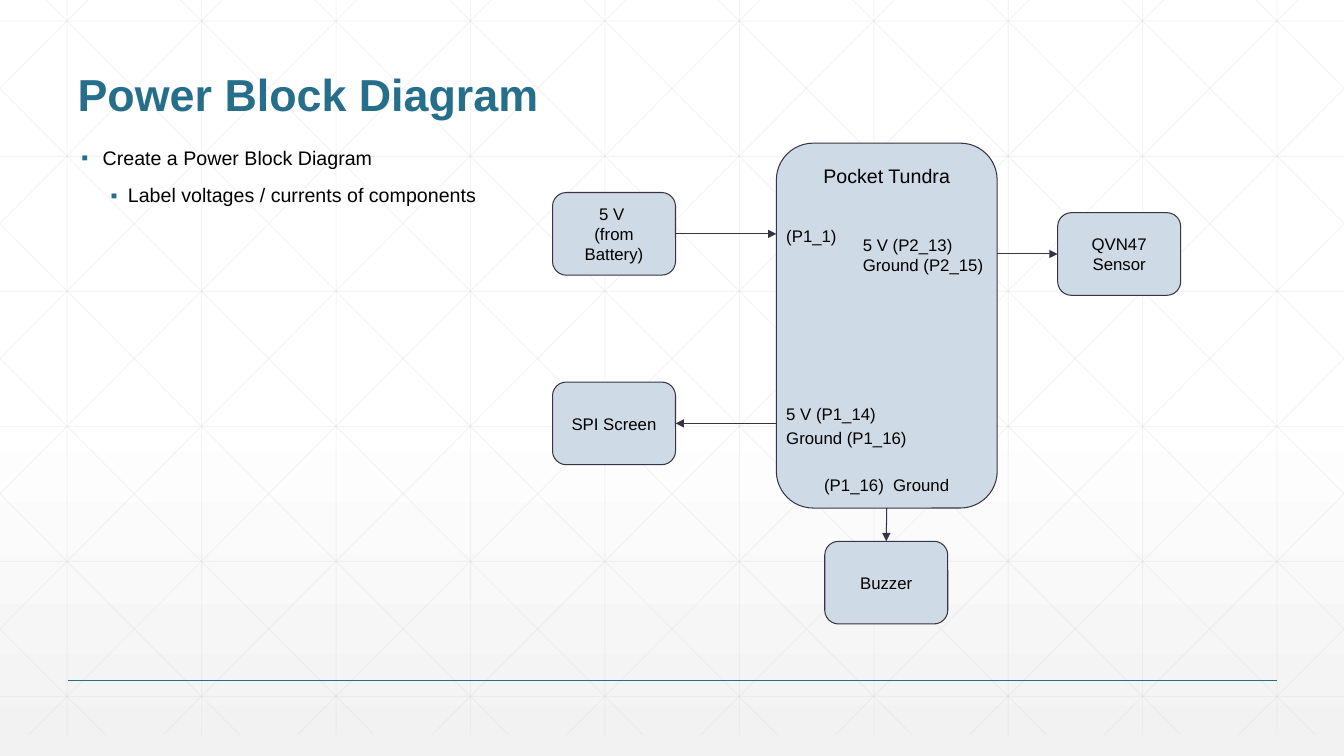
from lxml import etree
from pptx import Presentation
from pptx.dml.color import RGBColor
from pptx.enum.shapes import MSO_CONNECTOR, MSO_SHAPE
from pptx.enum.text import MSO_ANCHOR, MSO_AUTO_SIZE, PP_ALIGN
from pptx.oxml.ns import qn
from pptx.util import Inches, Pt

STRAIGHT = MSO_CONNECTOR.STRAIGHT
ROUNDED = MSO_SHAPE.ROUNDED_RECTANGLE
TOP, MIDDLE, BOTTOM = MSO_ANCHOR.TOP, MSO_ANCHOR.MIDDLE, MSO_ANCHOR.BOTTOM
LEFT, CENTER = PP_ALIGN.LEFT, PP_ALIGN.CENTER
SITE_TOP, SITE_LEFT, SITE_BOTTOM, SITE_RIGHT = range(4)
COLORS = {name: RGBColor.from_string(value) for name, value in {
    "accent": "266F8B", "block": "CEDBE6", "outline": "373545", "text": "000000",
    "grid": "D8D8D8", "white": "FFFFFF", "shade": "F2F2F2"}.items()}

prs = Presentation()
prs.slide_width, prs.slide_height = Inches(13.33), Inches(7.5)
slide = prs.slides.add_slide(prs.slide_layouts[5])
shapes = slide.shapes


def add_line(x1, y1, x2, y2, color, width=0.75):
    line = shapes.add_connector(STRAIGHT, Inches(x1), Inches(y1), Inches(x2), Inches(y2))
    line.line.color.rgb = COLORS[color]
    line.line.width = Pt(width)
    etree.SubElement(line._element.spPr, qn("a:effectLst"))
    return line


def write(shape, lines, size=12, color="text", bold=False, align=LEFT, anchor=TOP,
          spacing=1.0, inset=0.1):
    """Fill the shape with one formatted paragraph per line."""
    frame = shape.text_frame
    frame.text = "\n".join(lines)
    layout = {"word_wrap": True, "auto_size": MSO_AUTO_SIZE.NONE, "vertical_anchor": anchor,
              "margin_left": Inches(0.1), "margin_right": Inches(0.1),
              "margin_top": Inches(inset), "margin_bottom": Inches(inset)}
    for key, value in layout.items():
        setattr(frame, key, value)
    for paragraph in frame.paragraphs:
        paragraph.alignment, paragraph.line_spacing = align, spacing
        font = paragraph.runs[0].font
        for key, value in {"name": "Arial", "size": Pt(size), "bold": bold}.items():
            setattr(font, key, value)
        font.color.rgb = COLORS[color]


# Background: white fading to grey, with a faint lattice
backdrop = slide.background.fill
backdrop.gradient()
backdrop.gradient_angle = 270
for stop, position, color in zip(backdrop.gradient_stops, (0.53, 1), ("white", "shade")):
    stop.position = position
    stop.color.rgb = COLORS[color]

WIDTH, GRID_TOP, GRID_BOTTOM = 13.33, -0.21, 7.29
STEP, RUN = 4 / 3, 7.46
SLOPE = (GRID_BOTTOM - GRID_TOP) / RUN
lattice = [(STEP * (i + 0.5), GRID_TOP, STEP * (i + 0.5), GRID_BOTTOM) for i in range(10)]
lattice += [(0, 0.21 + 1.34 * i, WIDTH, 0.21 + 1.34 * i) for i in range(6)]
for i in range(-5, 10):
    start = 0.25 + STEP * i
    x1, x2 = max(start, 0), min(start + RUN, WIDTH)
    y1, y2 = (GRID_TOP + SLOPE * (x - start) for x in (x1, x2))
    lattice += [(x1, y1, x2, y2), (WIDTH - x1, y1, WIDTH - x2, y2)]
for ends in lattice:
    grid_line = add_line(*ends, "grid")
    grid_color = grid_line.line._ln.find(".//" + qn("a:srgbClr"))
    etree.SubElement(grid_color, qn("a:alpha"), val="25000")
add_line(0.67, 6.75, 12.67, 6.75, "accent", 1)

# Title, brought in front of the lattice, and bullets
title = shapes.title
shapes._spTree.append(title._element)
title.left, title.top, title.width, title.height = map(Inches, (0.67, 0.25, 12, 1))
write(title, ["Power Block Diagram"], 32, "accent", True, anchor=BOTTOM, spacing=0.9, inset=0.05)

task = shapes.add_textbox(*map(Inches, (0.67, 1.42, 4.57, 1.24)))
write(task, ["Create a Power Block Diagram", "Label voltages / currents of components"],
      14, spacing=0.9, inset=0.05)
for level, (paragraph, margin, indent, before) in enumerate(
        zip(task.text_frame.paragraphs, (0.25, 0.5), (-0.21, -0.17), (0, 12))):
    paragraph.level, paragraph.space_before = level, Pt(before)
    properties = paragraph._p.get_or_add_pPr()
    properties.set("marL", str(Inches(margin)))
    properties.set("indent", str(Inches(indent)))
    bullet_color = etree.SubElement(properties, qn("a:buClr"))
    etree.SubElement(bullet_color, qn("a:srgbClr"), val=str(COLORS["accent"]))
    etree.SubElement(properties, qn("a:buFont"), typeface="Arial")
    etree.SubElement(properties, qn("a:buChar"), char="▪")

# Blocks: left, top, (width, height), lines, size, anchor
BLOCK = (1.22, 0.82)
blocks = {}
for name, left, top, (width, height), lines, size, anchor in (
        ("board", 7.7, 1.42, (2.19, 3.62), ["Pocket Tundra"], 14, TOP),
        ("sensor", 10.49, 2.11, BLOCK, ["QVN47 Sensor"], 12, MIDDLE),
        ("battery", 5.48, 1.91, BLOCK, ["5 V ", "(from Battery)"], 12, MIDDLE),
        ("buzzer", 8.18, 5.37, BLOCK, ["Buzzer"], 12, MIDDLE),
        ("screen", 5.48, 3.79, BLOCK, ["SPI Screen"], 12, MIDDLE)):
    block = shapes.add_shape(ROUNDED, *map(Inches, (left, top, width, height)))
    block.shadow.inherit = False
    block.fill.solid()
    block.fill.fore_color.rgb = COLORS["block"]
    block.line.color.rgb = COLORS["outline"]
    block.line.width = Pt(0.75)
    write(block, lines, size, align=CENTER, anchor=anchor)
    blocks[name] = block

# Pin labels on the board
for left, top, width, height, lines, align, spacing in (
        (8.46, 2.23, 1.43, 0.57, ["5 V (P2_13)", "Ground (P2_15)"], LEFT, 1.0),
        (7.7, 2.11, 1.53, 0.4, ["(P1_1)"], LEFT, 1.15),
        (7.9, 4.61, 1.79, 0.43, ["(P1_16)  Ground"], CENTER, 1.0),
        (7.7, 3.88, 1.53, 0.64, ["5 V (P1_14)", "Ground (P1_16)"], LEFT, 1.15)):
    pins = shapes.add_textbox(*map(Inches, (left, top, width, height)))
    write(pins, lines, align=align, spacing=spacing)

# Power arrows, joined wherever they meet the middle of a side
for ends, source, target in (
        ((9.89, 2.52, 10.49, 2.52), None, ("sensor", SITE_LEFT)),
        ((6.7, 2.32, 7.7, 2.32), ("battery", SITE_RIGHT), None),
        ((8.79, 5.04, 8.79, 5.37), ("board", SITE_BOTTOM), ("buzzer", SITE_TOP)),
        ((7.7, 4.2, 6.7, 4.2), None, ("screen", SITE_RIGHT))):
    arrow = add_line(*ends, "outline")
    etree.SubElement(arrow.line._ln, qn("a:tailEnd"), type="triangle")
    for join, connect in ((source, arrow.begin_connect), (target, arrow.end_connect)):
        if join:
            connect(blocks[join[0]], join[1])

prs.save("out.pptx")
